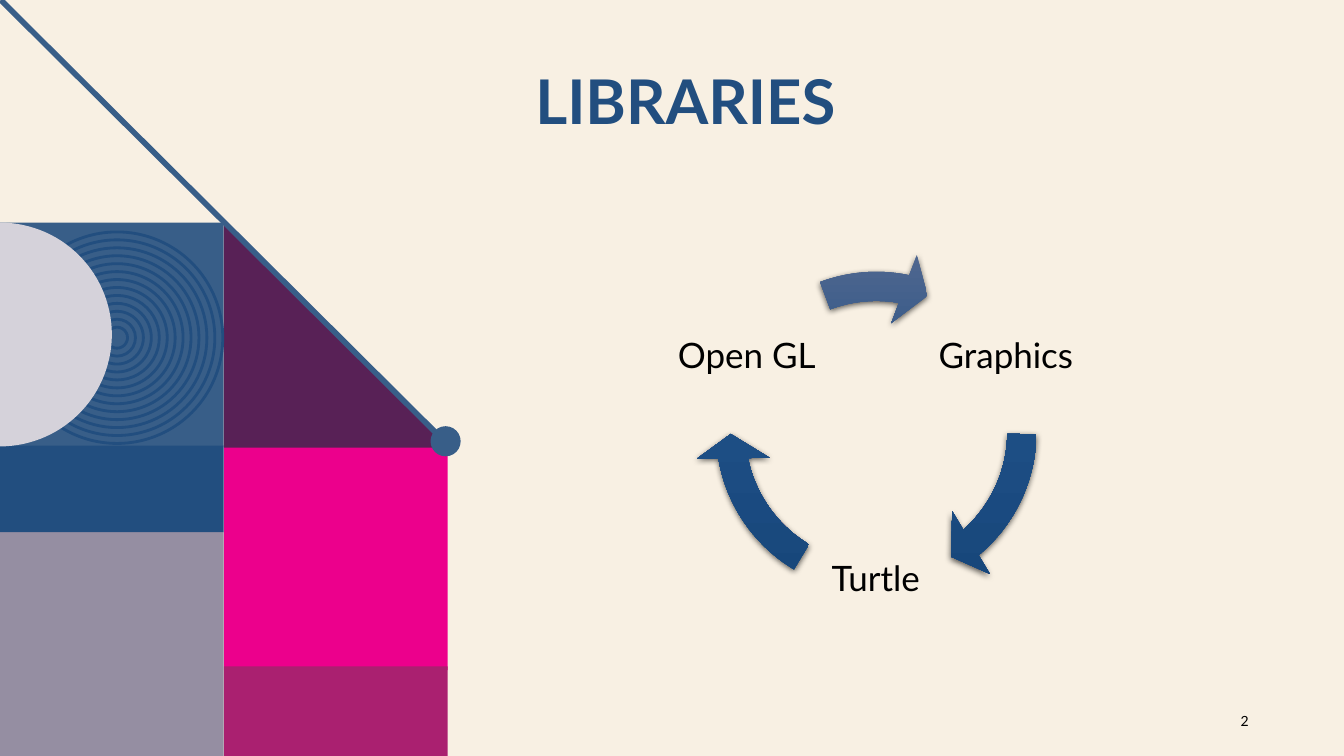
from dataclasses import dataclass
from math import cos, pi, sin

from lxml.etree import SubElement
from pptx import Presentation
from pptx.dml.color import RGBColor
from pptx.enum.shapes import MSO_CONNECTOR, MSO_SHAPE
from pptx.enum.text import MSO_ANCHOR, MSO_AUTO_SIZE, PP_ALIGN
from pptx.oxml.ns import qn
from pptx.shapes.autoshape import Shape
from pptx.shapes.shapetree import SlideShapes
from pptx.slide import Slide
from pptx.text.text import TextFrame
from pptx.util import Cm, Pt


@dataclass(frozen=True)
class Theme:
    font: str = "Lato"
    title_size: float = 44
    label_size: float = 25
    number_size: float = 10
    cream: str = "F8F0E3"
    steel: str = "385E88"
    navy: str = "224E7F"
    plum: str = "582156"
    pink: str = "EC008C"
    magenta: str = "AA2070"
    mauve: str = "958EA2"
    mist: str = "D5D2DA"
    black: str = "000000"
    arrow_gradient: tuple[str, ...] = ("50678F", "1D4E84", "164579")


@dataclass(frozen=True)
class Tile:
    left: float
    top: float
    height: float
    color: str


@dataclass(frozen=True)
class Library:
    """A label of the cycle and the arrow that follows it, angles in degrees."""
    name: str
    left: float
    top: float
    arrow_start: float
    arrow_end: float


THEME = Theme()
TILE = 5.64
RING_COUNT, RING_STEP, RING_OUTER = 13, 0.4, 5.33
RING_CENTER = (2.95, 8.51)
LABEL_SIDE = 3.86
ANGLE_UNIT = 0.6  # adjustment value per degree

UPPER_TILES = [
    Tile(0, 5.61, TILE, THEME.steel),
    Tile(TILE, 11.25, TILE, THEME.pink),
    Tile(TILE, 16.79, 2.26, THEME.magenta),
    Tile(0, 13.41, TILE, THEME.mauve),
]
NAVY_BAND = Tile(0, 11.23, 2.18, THEME.navy)

LIBRARIES = [
    Library("Graphics", 23.42, 7.06, 0.83, 49.44),
    Library("Turtle", 20.14, 12.7, 120.97, 169.58),
    Library("Open GL", 16.89, 7.06, 249.42, 280.99),
]


def rgb(color: str) -> RGBColor:
    return RGBColor.from_string(color)


def paint(shape: Shape, fill: str | None = None, line: str | None = None,
          width: float = 2) -> None:
    shape.shadow.inherit = False
    if fill:
        shape.fill.solid()
        shape.fill.fore_color.rgb = rgb(fill)
    else:
        shape.fill.background()
    if line:
        shape.line.color.rgb = rgb(line)
        shape.line.width = Pt(width)
    else:
        shape.line.fill.background()


def add_preset(shapes: SlideShapes, kind: MSO_SHAPE, left: float, top: float,
               width: float, height: float, fill: str | None = None,
               line: str | None = None) -> Shape:
    shape = shapes.add_shape(kind, Cm(left), Cm(top), Cm(width), Cm(height))
    paint(shape, fill, line)
    return shape


def add_outline(shapes: SlideShapes, points: list[tuple[float, float]],
                fill: str) -> None:
    corners = [(Cm(x), Cm(y)) for x, y in points]
    builder = shapes.build_freeform(*corners[0])
    builder.add_line_segments(corners[1:], close=True)
    paint(builder.convert_to_shape(), fill)


def add_tile(shapes: SlideShapes, tile: Tile) -> None:
    add_preset(shapes, MSO_SHAPE.RECTANGLE, tile.left, tile.top, TILE,
               tile.height, tile.color)


def write_text(frame: TextFrame, text: str, *, size: float,
               color: str = THEME.black, bold: bool = False,
               align: PP_ALIGN = PP_ALIGN.LEFT,
               anchor: MSO_ANCHOR = MSO_ANCHOR.MIDDLE,
               spacing: float = 1.0) -> None:
    frame.word_wrap = True
    frame.auto_size = MSO_AUTO_SIZE.NONE
    frame.vertical_anchor = anchor
    frame.text = text
    paragraph = frame.paragraphs[0]
    paragraph.alignment = align
    paragraph.line_spacing = spacing
    paragraph.space_before = Pt(0)
    font = paragraph.runs[0].font
    font.name, font.size, font.bold = THEME.font, Pt(size), bold
    font.color.rgb = rgb(color)


def add_mosaic(shapes: SlideShapes) -> None:
    for tile in UPPER_TILES:
        add_tile(shapes, tile)
    add_outline(shapes, [(TILE, TILE), (2 * TILE, 2 * TILE), (TILE, 2 * TILE)],
                THEME.plum)
    center_x, center_y = RING_CENTER
    for ring in range(RING_COUNT):
        diameter = RING_OUTER - ring * RING_STEP
        add_preset(shapes, MSO_SHAPE.OVAL, center_x - diameter / 2,
                   center_y - diameter / 2, diameter, diameter, line=THEME.navy)
    add_tile(shapes, NAVY_BAND)

    radius, steps = TILE / 2, 60
    turns = [pi * step / steps for step in range(steps + 1)]
    half_disc = [(radius * sin(turn), 5.61 + radius * (1 - cos(turn)))
                 for turn in turns]
    add_outline(shapes, half_disc, THEME.mist)

    diagonal = shapes.add_connector(MSO_CONNECTOR.STRAIGHT, Cm(0.02), Cm(0),
                                    Cm(11.28), Cm(11.2))
    diagonal.line.color.rgb = rgb(THEME.steel)
    diagonal.line.width = Pt(4)
    SubElement(diagonal.line._get_or_add_ln().getparent(), qn("a:effectLst"))
    add_preset(shapes, MSO_SHAPE.OVAL, 10.85, 10.74, 0.76, 0.76, THEME.steel)


def shade_arrow(arrow: Shape) -> None:
    """Give the arrow a three-stop downward gradient and a soft shadow."""
    arrow.fill.gradient()
    gradient = arrow.element.spPr.find(qn("a:gradFill"))
    for child in list(gradient):
        gradient.remove(child)
    stops = SubElement(gradient, qn("a:gsLst"))
    for index, color in enumerate(THEME.arrow_gradient):
        stop = SubElement(stops, qn("a:gs"), pos=str(index * 50000))
        SubElement(stop, qn("a:srgbClr"), val=color)
    SubElement(gradient, qn("a:lin"), ang="5400000", scaled="0")

    effects = arrow.element.spPr.find(qn("a:effectLst"))
    shadow = SubElement(effects, qn("a:outerShdw"), blurRad=str(Pt(4.5)),
                        dist=str(Pt(1.5)), dir="5400000", rotWithShape="0")
    shade = SubElement(shadow, qn("a:srgbClr"), val=THEME.black)
    SubElement(shade, qn("a:alpha"), val="63000")


def add_library(shapes: SlideShapes, library: Library) -> None:
    label = shapes.add_textbox(Cm(library.left), Cm(library.top),
                               Cm(LABEL_SIDE), Cm(LABEL_SIDE)).text_frame
    label.margin_left = label.margin_right = Cm(0.08)
    label.margin_top = label.margin_bottom = Cm(0.08)
    write_text(label, library.name, size=THEME.label_size,
               align=PP_ALIGN.CENTER, spacing=0.9)

    arrow = add_preset(shapes, MSO_SHAPE.CIRCULAR_ARROW, 17.5, 6.3, 9.17, 9.17)
    settings = (0.08, 5.76, library.arrow_end * ANGLE_UNIT,
                library.arrow_start * ANGLE_UNIT, 0.1)
    for index, value in enumerate(settings):
        arrow.adjustments[index] = value
    shade_arrow(arrow)


def add_title(slide: Slide) -> None:
    title = slide.shapes.title
    title.left, title.top = Cm(9.22), Cm(0)
    title.width, title.height = Cm(17.63), Cm(3.61)
    title.text_frame.margin_left = Cm(4.27)
    write_text(title.text_frame, "LIBRARIES", size=THEME.title_size,
               color=THEME.navy, bold=True, anchor=MSO_ANCHOR.BOTTOM,
               spacing=0.9)


def main() -> None:
    deck = Presentation()
    deck.slide_width, deck.slide_height = Cm(33.87), Cm(19.05)
    slide = deck.slides.add_slide(deck.slide_layouts[5])
    slide.background.fill.solid()
    slide.background.fill.fore_color.rgb = rgb(THEME.cream)
    add_mosaic(slide.shapes)
    add_title(slide)
    page_number = slide.shapes.add_textbox(Cm(30.45), Cm(17.65), Cm(1.27), Cm(1.02))
    write_text(page_number.text_frame, "2", size=THEME.number_size,
               align=PP_ALIGN.RIGHT)
    for library in LIBRARIES:
        add_library(slide.shapes, library)
    deck.save("out.pptx")


if __name__ == "__main__":
    main()
